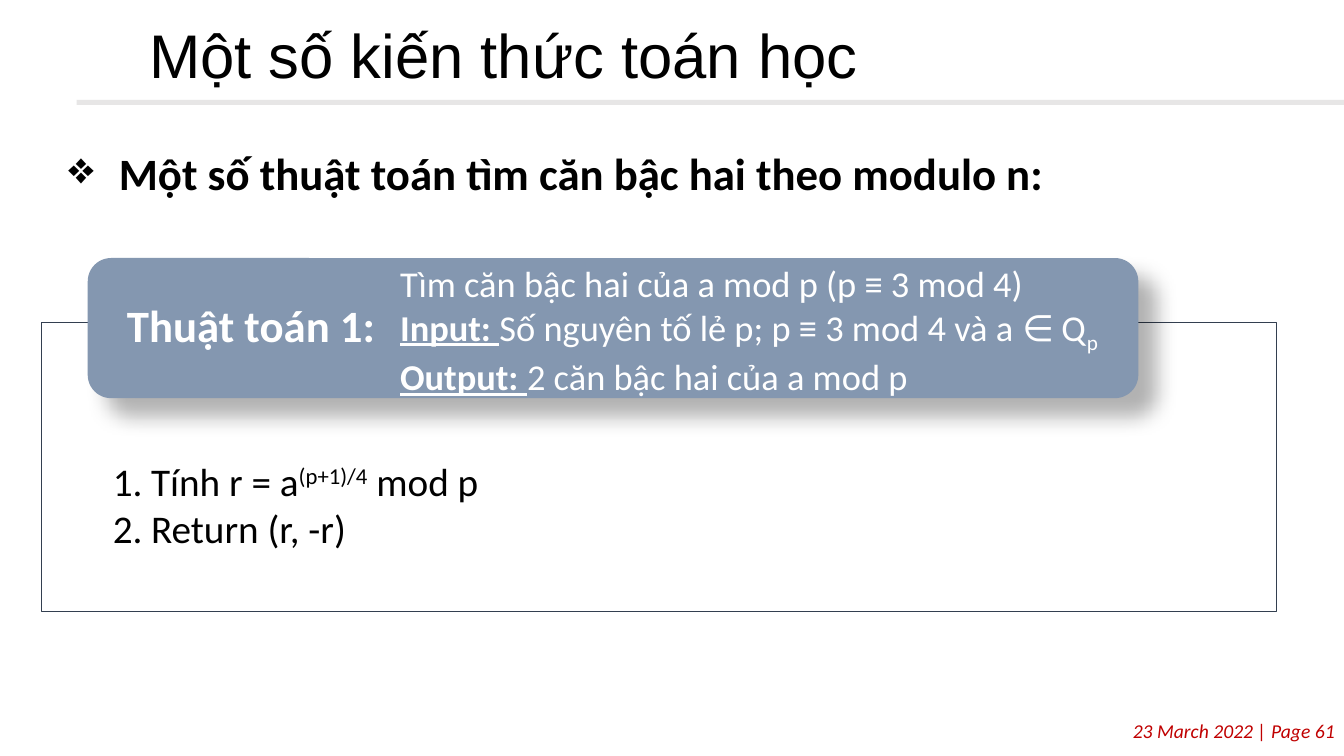
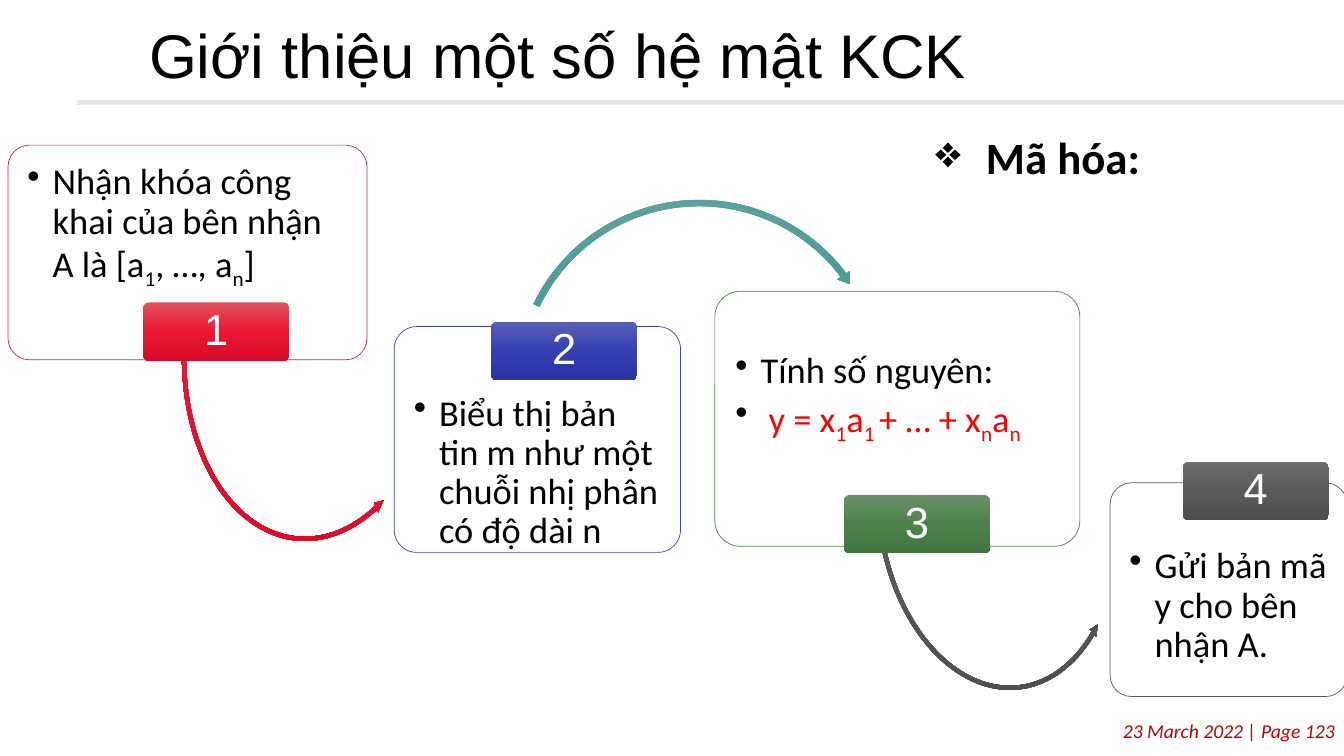
"""Build two lecture slides on modular roots and a knapsack cipher."""
from lxml.etree import SubElement
from pptx import Presentation
from pptx.dml.color import RGBColor
from pptx.enum.shapes import MSO_SHAPE
from pptx.enum.text import MSO_ANCHOR, PP_ALIGN
from pptx.oxml.ns import qn
from pptx.util import Inches, Pt

HUES = {
    "ink": "000000", "white": "FFFFFF", "rule": "E7E6E6", "foot": "C00000",
    "slate": "8497B0", "frame": "333F50", "math": "FF0000",
}
GRADS = {
    "red": ("E4505C", "E91734", "D80C28"),
    "blue": ("5A60B7", "343FB2", "2934A3"),
    "green": ("678F66", "4D824A", "427640"),
    "gray": ("6F6F6F", "595959", "4F4F4F"),
    "teal": ("60A29D", "409993", "358C86"),
}
EDGES = {"red": "DF213B", "blue": "3A44AC", "green": "4F7F4D", "gray": "595959"}
BASES = {"sub": "-25000", "sup": "30000"}

ROOTS = {
    "title": "Một số kiến thức toán học", "page": 61,
    "head": "Một số thuật toán tìm căn bậc hai theo modulo n:",
    "at": (0.41, 1.19, 12.61, 0.95),
}
CIPHER = {
    "title": "Giới thiệu một số hệ mật KCK", "page": 123,
    "head": "Mã hóa:", "at": (9.01, 1.03, 4.25, 0.94),
}
NAME = "Thuật toán 1:"
GOAL = [
    ["Tìm căn bậc hai của a mod p (p ≡ 3 mod 4)"],
    [("Input: ", "key"), "Số nguyên tố lẻ p; p ≡ 3 mod 4 và a ∈ Q", ("p", "sub")],
    [("Output: ", "key"), "2 căn bậc hai của a mod p"],
]
RULES = [
    ["Tính r = a", ("(p+1)/4", "sup"), " mod p"],
    ["Return (r, -r)"],
]
SUM = ["y = x", ("1", "sub"), "a", ("1 ", "sub"), "+ … + x", ("n", "sub"),
       "a", ("n", "sub")]
STEPS = [
    {"hue": "red", "box": (0.08, 1.44, 3.56, 2.13), "top": 0.12, "tag": (1.42, 3),
     "text": [["Nhận khóa công khai của bên nhận A là [a", ("1", "sub"),
               ", …, a", ("n", "sub"), "]"]],
     "arrow": (MSO_SHAPE.LEFT_CIRCULAR_ARROW, "red", (1.78, 1.44, 2.65, 3.96), 4.3,
               (0.016, 1.898, 38.727, 109.318, 0.019))},
    {"hue": "blue", "box": (3.91, 3.24, 2.84, 2.24), "top": 0.61, "tag": (4.87, 3.19),
     "text": [["Biểu thị bản tin m như một chuỗi nhị phân có độ dài n"]],
     "arrow": (MSO_SHAPE.CIRCULAR_ARROW, "teal", (5.07, 1.94, 3.73, 3.73), 356.2,
               (0.017, 2.018, 196.161, 125.69, 0.02))},
    {"hue": "green", "box": (7.09, 2.89, 3.62, 2.53), "top": 0.53, "tag": (8.37, 4.91),
     "text": [["Tính số nguyên:"], SUM],
     "arrow": (MSO_SHAPE.LEFT_CIRCULAR_ARROW, "gray", (8.67, 3.25, 2.47, 3.63), 353.4,
               (0.017, 2.078, 35.423, 105.835, 0.02))},
    {"hue": "gray", "box": (11.01, 4.79, 2.35, 2.12), "top": 0.58, "tag": (11.73, 4.58),
     "text": [["Gửi bản mã y cho bên nhận A."]], "arrow": None},
]


def color(code):
    return RGBColor.from_string(code)


def setup(shape, pads, anchor=MSO_ANCHOR.TOP):
    frame = shape.text_frame
    frame.word_wrap = True
    frame.vertical_anchor = anchor
    (frame.margin_left, frame.margin_top,
     frame.margin_right, frame.margin_bottom) = map(Inches, pads)
    return frame


def fill_text(frame, rows, size, hue="ink", face="Calibri", bold=None, slant=None,
              align=PP_ALIGN.LEFT, space=1.0, after=0, mark=None, hang=(0, 0)):
    for i, row in enumerate(rows):
        para = frame.paragraphs[0] if i == 0 else frame.add_paragraph()
        if mark:
            props = para._p.get_or_add_pPr()
            left, first = (0.33, -0.33) if row is SUM else hang
            props.set("marL", str(Inches(left)))
            props.set("indent", str(Inches(first)))
            if mark == "1.":
                SubElement(props, qn("a:buAutoNum"), type="arabicPeriod")
            else:
                tint = SubElement(props, qn("a:buClr"))
                SubElement(tint, qn("a:srgbClr"), val=HUES["ink"])
                SubElement(props, qn("a:buChar"), char=mark)
        para.alignment = align
        para.line_spacing = space
        para.space_after = Pt(after)
        font = para.font
        font.name, font.size, font.bold, font.italic = face, Pt(size), bold, slant
        font.color.rgb = color(HUES["math" if row is SUM else hue])
        for part in row:
            words, kind = (part, None) if isinstance(part, str) else part
            run = para.add_run()
            run.text = words
            if kind == "key":
                run.font.bold = run.font.underline = True
            elif kind:
                run._r.get_or_add_rPr().set("baseline", BASES[kind])


def add_text(slide, at, rows, size, pads=(0.1, 0.05, 0.1, 0.05),
             anchor=MSO_ANCHOR.TOP, **style):
    box = slide.shapes.add_textbox(*map(Inches, at))
    fill_text(setup(box, pads, anchor), rows, size, **style)


def add_form(slide, kind, at, fill, line=None, width=1, bends=()):
    form = slide.shapes.add_shape(kind, *map(Inches, at))
    form.shadow.inherit = False
    for i, bend in enumerate(bends):
        form.adjustments[i] = bend
    if isinstance(fill, str):
        form.fill.solid()
        form.fill.fore_color.rgb = color(fill)
    else:
        form.fill.gradient()
        form.fill.gradient_angle = 270
        stops = form._element.spPr.find(".//" + qn("a:gsLst"))
        stops.clear()
        for i, code in enumerate(fill):
            stop = SubElement(stops, qn("a:gs"), pos=str(i * 50000))
            SubElement(stop, qn("a:srgbClr"), val=code)
    if line:
        form.line.color.rgb = color(line)
        form.line.width = Pt(width)
    else:
        form.line.fill.background()
    return form


def add_shade(form):
    glow = SubElement(form._element.spPr.find(qn("a:effectLst")), qn("a:outerShdw"),
                      blurRad=str(Pt(15)), dist=str(Pt(18)), dir="2700000",
                      algn="ctr", rotWithShape="0")
    tint = SubElement(glow, qn("a:srgbClr"), val=HUES["ink"])
    SubElement(tint, qn("a:alpha"), val="30000")


def add_base(deck, data):
    slide = deck.slides.add_slide(deck.slide_layouts[6])
    add_text(slide, (0.05, 7.08, 13.29, 0.34), [[f"23 March 2022 | Page {data['page']}"]],
             14, hue="foot", slant=True, align=PP_ALIGN.RIGHT)
    add_form(slide, MSO_SHAPE.RECTANGLE, (0.76, 0.99, 12.58, 0.05), HUES["rule"])
    add_text(slide, data["at"], [[data["head"]]], 32, pads=(0.1,) * 4, bold=True,
             space=1.3, mark="❖", hang=(0.67, -0.5))
    add_text(slide, (1.38, 0.19, 11.88, 0.78), [[data["title"]]], 44,
             anchor=MSO_ANCHOR.MIDDLE, face="Arial", space=0.9)
    return slide


def add_roots(deck):
    slide = add_base(deck, ROOTS)
    add_form(slide, MSO_SHAPE.RECTANGLE, (0.41, 3.2, 12.25, 2.87), HUES["white"],
             HUES["frame"])
    band = add_form(slide, MSO_SHAPE.ROUNDED_RECTANGLE, (0.87, 2.56, 10.42, 1.39),
                    HUES["slate"])
    add_shade(band)
    fill_text(setup(band, (0.32, 0, 0.32, 0), MSO_ANCHOR.MIDDLE), [[NAME]], 32,
              hue="white", bold=True, space=0.9)
    add_text(slide, (3.87, 2.54, 7.38, 1.41), GOAL, 26, hue="white")
    add_text(slide, (1.02, 4.49, 8.55, 1.04), RULES, 28, mark="1.", hang=(0.38, -0.38))


def add_cipher(deck):
    slide = add_base(deck, CIPHER)
    for num, step in enumerate(STEPS, 1):
        hue = step["hue"]
        card = add_form(slide, MSO_SHAPE.ROUNDED_RECTANGLE, step["box"], HUES["white"],
                        EDGES[hue], 0.5, (0.1,))
        fill_text(setup(card, (0.13, step["top"], 0.13, 0)), step["text"], 26,
                  space=0.9, after=4, mark="•", hang=(0.25, -0.25))
        if step["arrow"]:
            kind, shade, at, turn, bends = step["arrow"]
            add_form(slide, kind, at, GRADS[shade], bends=bends).rotation = turn
        tag = add_form(slide, MSO_SHAPE.ROUNDED_RECTANGLE, (*step["tag"], 1.45, 0.58),
                       GRADS[hue], bends=(0.1,))
        fill_text(setup(tag, (0.06, 0.04, 0.06, 0.04), MSO_ANCHOR.MIDDLE), [[str(num)]],
                  31, hue="white", face="Arial", align=PP_ALIGN.CENTER, space=0.9)


def main():
    deck = Presentation()
    deck.slide_width, deck.slide_height = Inches(13.33), Inches(7.5)
    add_roots(deck)
    add_cipher(deck)
    deck.save("out.pptx")


if __name__ == "__main__":
    main()
